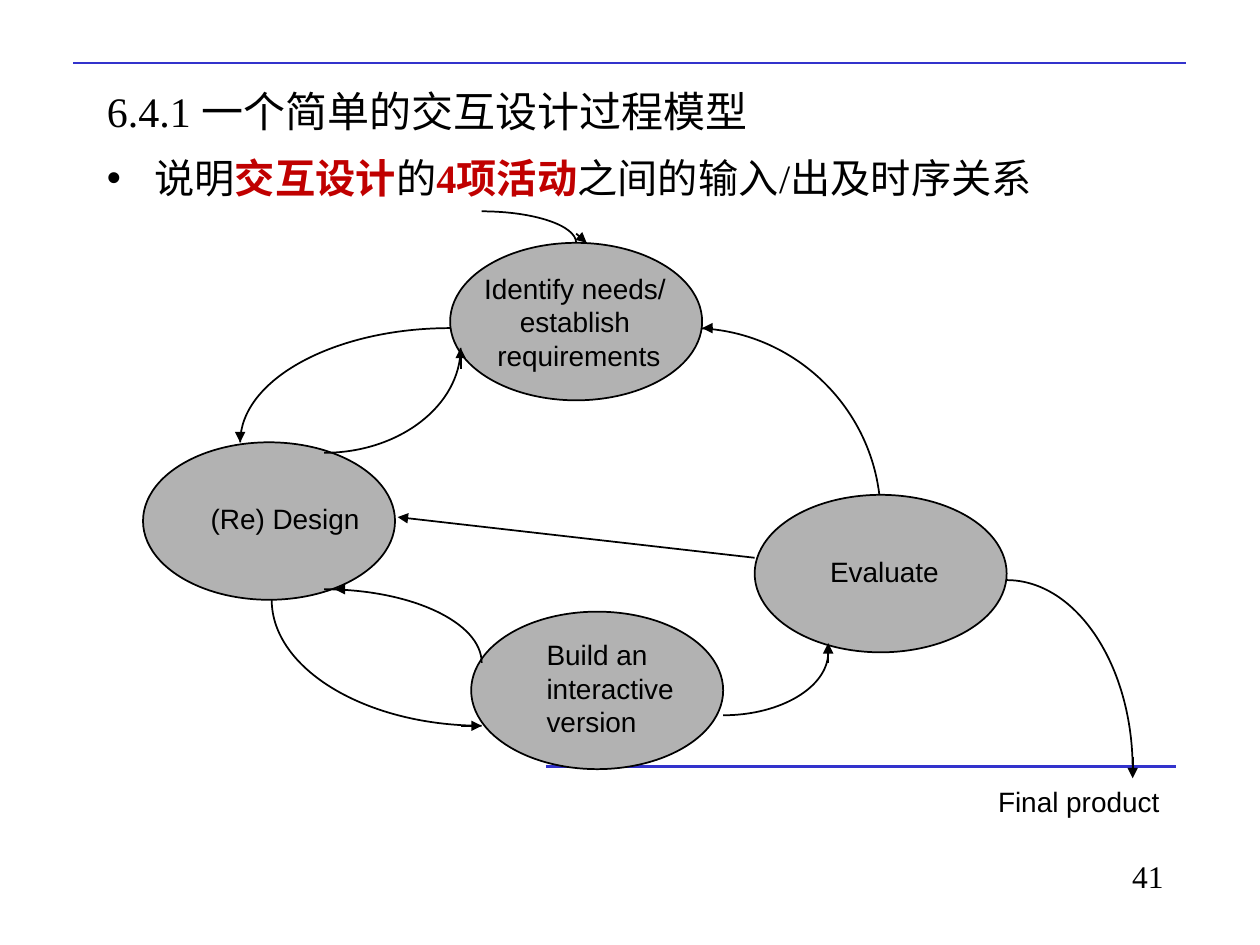
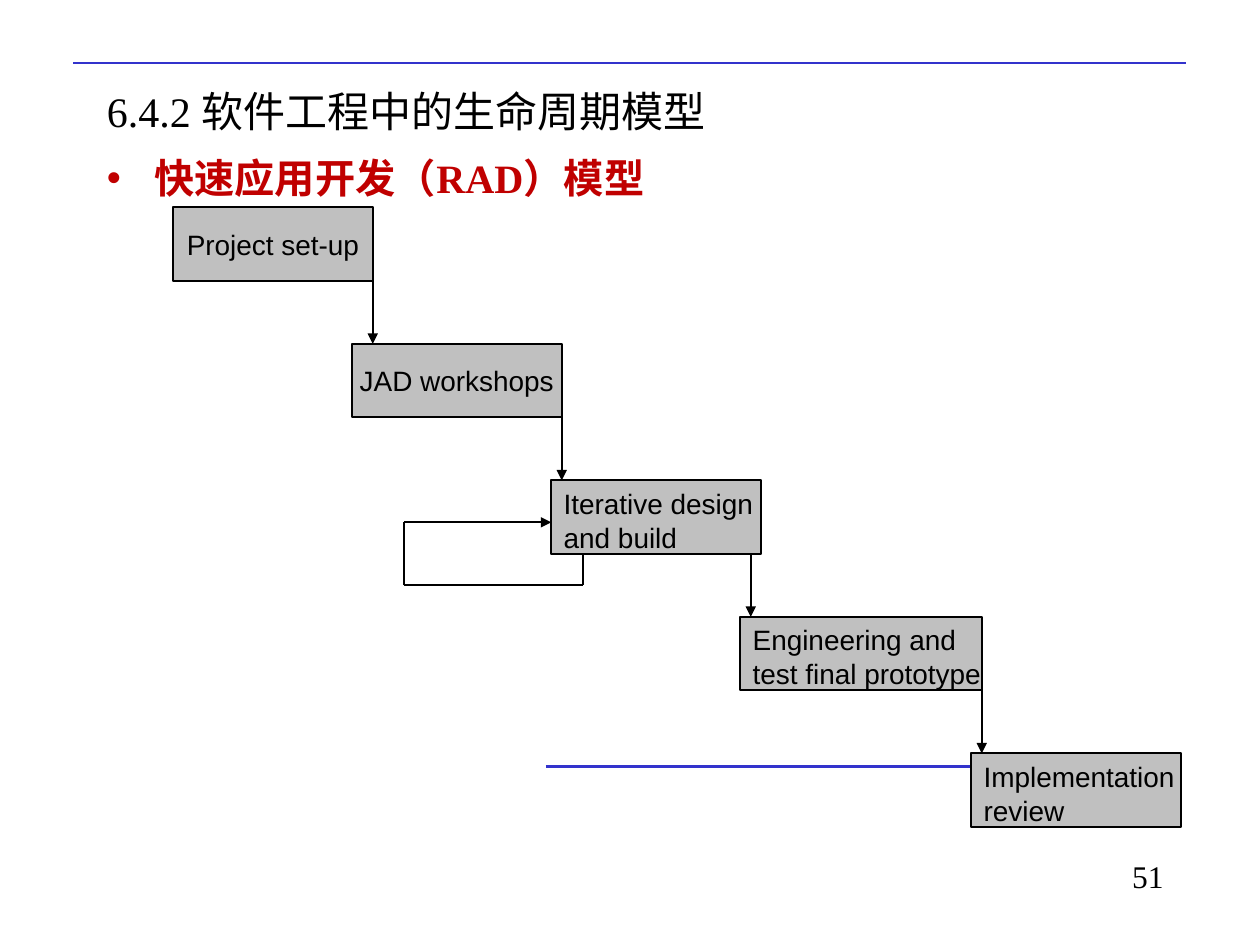
from lxml import etree
from pptx import Presentation
from pptx.dml.color import RGBColor
from pptx.enum.shapes import MSO_CONNECTOR, MSO_SHAPE
from pptx.enum.text import MSO_ANCHOR, MSO_AUTO_SIZE, PP_ALIGN
from pptx.oxml.ns import qn
from pptx.util import Pt

STRAIGHT = MSO_CONNECTOR.STRAIGHT
ELLIPSE, RECT = MSO_SHAPE.OVAL, MSO_SHAPE.RECTANGLE
LEFT, CENTER, RIGHT = PP_ALIGN.LEFT, PP_ALIGN.CENTER, PP_ALIGN.RIGHT
TOP, MIDDLE = MSO_ANCHOR.TOP, MSO_ANCHOR.MIDDLE
GROW = MSO_AUTO_SIZE.SHAPE_TO_FIT_TEXT

PX = 914400 // 96
BLACK, RED, BLUE = "000000", "C00000", "3333CC"
OVAL_GREY, BOX_GREY = "B2B2B2", "C0C0C0"
SERIF, SANS = "Times New Roman", "Arial"
ROUNDNESS = 0.55  # Bezier handle length of a quarter ellipse


def emu(px):
    return round(px * PX)


def rgb(color):
    return RGBColor.from_string(color)


class Deck:
    """Holds the shared style and the slide being drawn."""

    def __init__(self):
        self.prs = Presentation()
        self.prs.slide_width, self.prs.slide_height = emu(960), emu(720)
        self.shapes = None

    def slide(self, title, bullet_runs, number):
        self.shapes = self.prs.slides.add_slide(self.prs.slide_layouts[6]).shapes
        self.line((56, 48), (904, 48), BLUE, 1.5)
        self.line((416, 584), (896, 584), BLUE, 1.5)
        self.text((696, 648, 200, 48), number, 18, SERIF, RIGHT)
        self.text((72, 56, 816, 56), title, 24, SERIF, anchor=MIDDLE)
        self.bullet((72, 112, 816, 464), bullet_runs)

    def font(self, run, size, name, color=BLACK, bold=False):
        run.font.size, run.font.name, run.font.bold = Pt(size), name, bold
        run.font.color.rgb = rgb(color)

    def fill_text(self, frame, text, size, name, align, anchor, wrap):
        frame.text = text
        frame.word_wrap = wrap
        frame.vertical_anchor = anchor
        for paragraph in frame.paragraphs:
            paragraph.alignment = align
            for run in paragraph.runs:
                self.font(run, size, name)

    def text(self, box, text, size, name, align=LEFT, anchor=TOP, wrap=True):
        frame = self.shapes.add_textbox(*map(emu, box)).text_frame
        self.fill_text(frame, text, size, name, align, anchor, wrap)
        return frame

    def label(self, box, text, align=LEFT, wrap=False):
        self.text(box, text, 16, SANS, align, wrap=wrap).auto_size = GROW

    def bullet(self, box, runs):
        frame = self.shapes.add_textbox(*map(emu, box)).text_frame
        frame.word_wrap = True
        paragraph = frame.paragraphs[0]
        paragraph.space_before = Pt(4.6)
        for text, highlighted in runs:
            run = paragraph.add_run()
            run.text = text
            self.font(run, 23, SERIF, RED if highlighted else BLACK, highlighted)
        # Hanging indent and bullet sign
        props = paragraph._p.get_or_add_pPr()
        props.set("marL", str(emu(36)))
        props.set("indent", str(-emu(36)))
        etree.SubElement(props, qn("a:buFont")).set("typeface", SANS)
        etree.SubElement(props, qn("a:buChar")).set("char", "•")

    def node(self, kind, box, color, text=""):
        shape = self.shapes.add_shape(kind, *map(emu, box))
        shape.shadow.inherit = False
        shape.fill.solid()
        shape.fill.fore_color.rgb = rgb(color)
        self.stroke(shape.line)
        if text:
            self.fill_text(shape.text_frame, text, 16, SANS, CENTER, MIDDLE, False)

    def stroke(self, line, color=BLACK, width=1):
        line.color.rgb = rgb(color)
        line.width = Pt(width)

    def line(self, start, end, color=BLACK, width=1, arrow=False):
        connector = self.shapes.add_connector(STRAIGHT, *map(emu, start + end))
        self.stroke(connector.line, color, width)
        props = connector.element.spPr
        if arrow:
            tail = etree.SubElement(props.find(qn("a:ln")), qn("a:tailEnd"))
            tail.set("type", "triangle")
        etree.SubElement(props, qn("a:effectLst"))

    def arrow(self, start, end):
        self.line(start, end, arrow=True)

    def arc(self, start, end):
        """Quarter ellipse that leaves level and arrives upright."""
        (x0, y0), (x1, y1) = start, end
        handles = [(x0 + (x1 - x0) * ROUNDNESS, y0),
                   (x1, y1 + (y0 - y1) * ROUNDNESS)]
        points = [(emu(x), emu(y)) for x, y in handles + [end]]
        builder = self.shapes.build_freeform(emu(x0), emu(y0))
        builder.add_line_segments(points, close=False)
        curve = builder.convert_to_shape()
        # Turn the three segments into one Bezier curve
        segments = list(curve.element.iter(qn("a:lnTo")))
        bezier = etree.SubElement(segments[0].getparent(), qn("a:cubicBezTo"))
        for segment in segments:
            bezier.append(segment[0])
            segment.getparent().remove(segment)
        curve.shadow.inherit = False
        curve.fill.background()
        self.stroke(curve.line)


def interaction_design(deck):
    deck.slide("6.4.1 一个简单的交互设计过程模型",
               [("说明", False), ("交互设计", True), ("的", False),
                ("4项活动", True), ("之间的输入/出及时序关系", False)], "41")

    # Return from evaluation to needs, behind the ovals
    deck.arc((527, 250), (671, 394))

    # Four activities
    for left, top in [(343, 185), (109, 337), (575, 377), (359, 466)]:
        deck.node(ELLIPSE, (left, top, 192, 120), OVAL_GREY)
    deck.label((359, 202, 164, 86),
               "Identify needs/ \nestablish \nrequirements", CENTER)
    deck.label((151, 377, 134, 36), "(Re) Design")
    deck.label((623, 418, 102, 36), "Evaluate")
    deck.label((407, 481, 123, 86), "Build an\ninteractive\nversion")
    deck.label((751, 593, 143, 36), "Final product")

    # Curved flows
    for start, end in [
        ((343, 250), (183, 337)),  # needs to design
        ((247, 345), (351, 265)),  # design to needs
        ((367, 553), (207, 457)),  # design to build
        ((247, 449), (367, 505)),  # build to design
        ((551, 545), (631, 497)),  # build to evaluate
        ((767, 442), (863, 586)),  # evaluate to final product
        ((367, 161), (439, 185)),  # entry to needs
    ]:
        deck.arc(start, end)

    # Arrowheads of the curves, and the straight way back to design
    for start, end in [
        ((863, 577), (863, 593)), ((263, 449), (255, 449)),
        ((351, 553), (367, 553)), ((183, 329), (183, 337)),
        ((351, 281), (351, 265)), ((575, 425), (303, 394)),
        ((631, 505), (631, 490)), ((439, 178), (447, 185)),
        ((543, 250), (535, 250)),
    ]:
        deck.arrow(start, end)


def rapid_development(deck):
    deck.slide("6.4.2 软件工程中的生命周期模型",
               [("快速应用开发（RAD）模型", True)], "51")

    # Phases: left, width, centred text, overlaid label, label width, wrap
    phases = [
        (132, 152, "Project set-up", "", 0, False),
        (268, 160, "JAD workshops", "", 0, False),
        (420, 160, "", "Iterative design and build", 202, True),
        (564, 184, "", "Engineering and\ntest final prototype", 195, False),
        (740, 160, "", "Implementation\nreview", 166, False),
    ]
    height = 56
    tops = [158 + 104 * i for i in range(len(phases))]
    for top, (left, width, text, label, label_width, wrap) in zip(tops, phases):
        deck.node(RECT, (left, top, width, height), BOX_GREY, text)
        if label:
            deck.label((left, top, label_width, 61), label, wrap=wrap)

    # Steps down to the next phase
    for x, top, next_top in zip([284, 428, 572, 748], tops, tops[1:]):
        deck.arrow((x, top + height), (x, next_top))

    # Iteration loop
    loop = [(444, 422), (444, 446), (308, 446), (308, 398)]
    for start, end in zip(loop, loop[1:]):
        deck.line(start, end)
    deck.arrow(loop[-1], (420, 398))


def main():
    deck = Deck()
    interaction_design(deck)
    rapid_development(deck)
    deck.prs.save("out.pptx")


if __name__ == "__main__":
    main()
